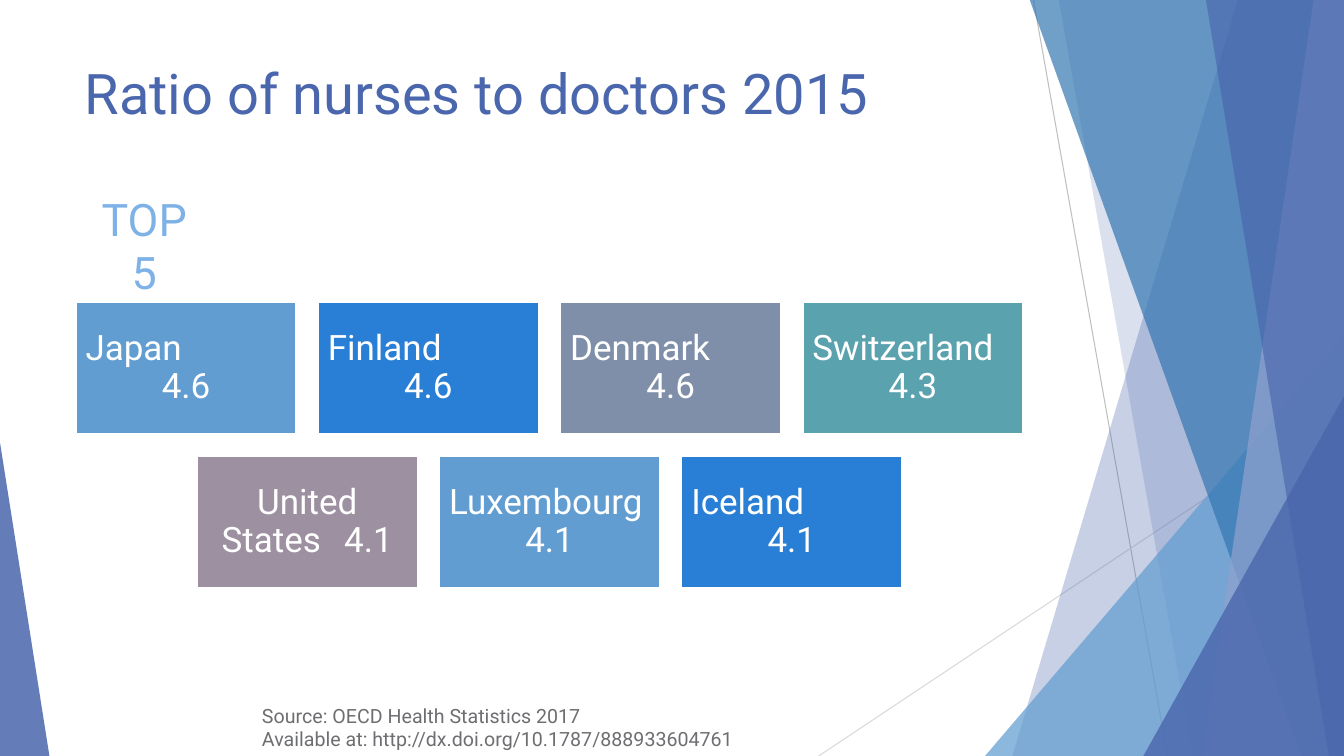
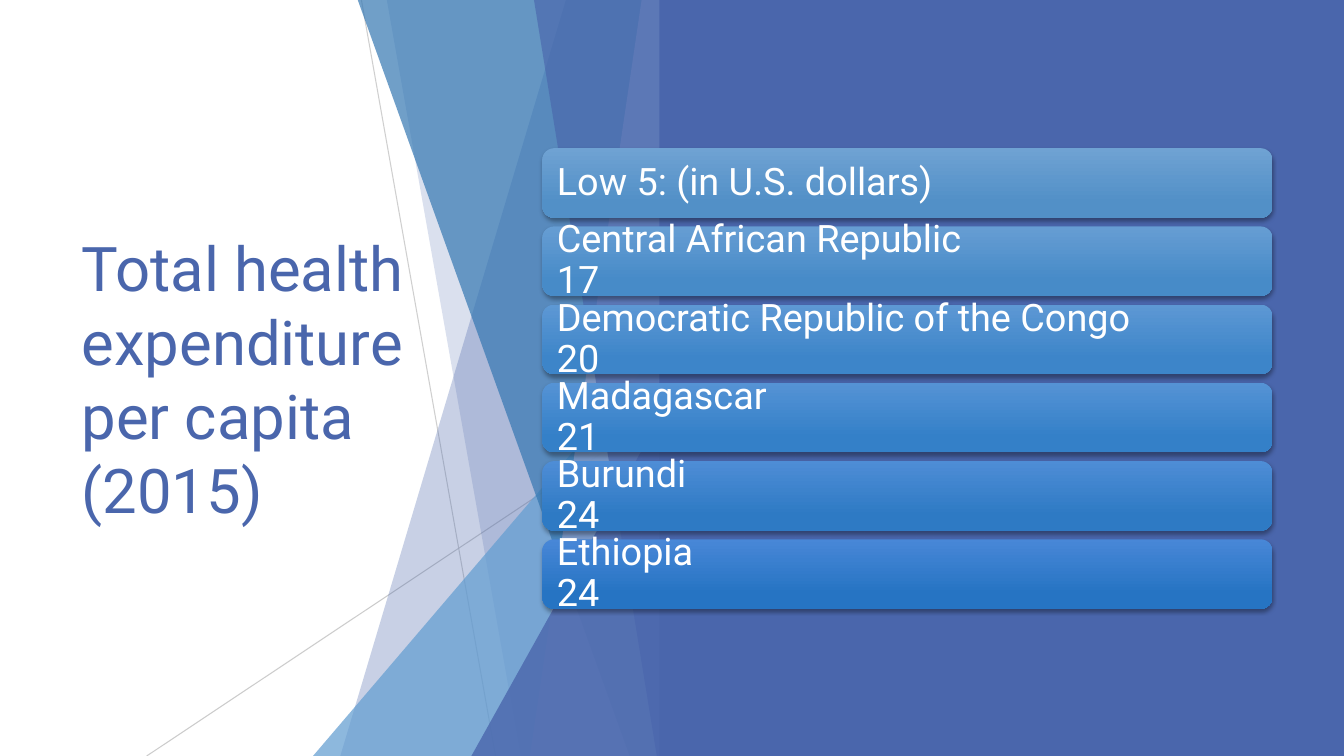
import pptx
import pptx.util
import pptx.dml.color
import pptx.enum.shapes
import pptx.enum.text
import pptx.oxml.ns
import lxml.etree

Inches, Pt = pptx.util.Inches, pptx.util.Pt
Kind = pptx.enum.shapes.MSO_SHAPE
Align = pptx.enum.text.PP_ALIGN
Anchor = pptx.enum.text.MSO_ANCHOR
WIDE, HIGH = 13.33, 7.5
FONT = "Roboto"
HUES = {
    "navy": "4A66AC", "sky": "629DD1", "deep": "3477B2", "mist": "90A2CF",
    "blue": "297FD5", "slate": "7F8FA9", "teal": "5AA2AE", "mauve": "9D90A0",
    "pale": "7EB2E6", "note": "6D6E71", "white": "FFFFFF", "black": "000000",
    "gray": "BFBFBF", "light": "D9D9D9",
}
TILES = ("sky", "blue", "slate", "teal", "mauve")
TOP = (
    ("Japan\t\t\t4.6", "Finland\t\t\t4.6", "Denmark\t\t4.6", "Switzerland\t\t4.3"),
    ("United States\t4.1", "Luxembourg\t4.1", "Iceland\t\t\t4.1"),
)
# Each bar: text, upper and lower gradient colour
LOW = (
    ("Low 5: (in U.S. dollars)", "6FA2D3", "5290C7"),
    ("Central African Republic\t\t17", "669DD3", "478BC8"),
    ("Democratic Republic of the Congo\t20", "5D98D4", "3D85C9"),
    ("Madagascar\t\t\t\t21", "5593D5", "3480C8"),
    ("Burundi\t\t\t\t\t24", "4E8DD6", "2E7AC4"),
    ("Ethiopia\t\t\t\t24", "4887D7", "2674C3"),
)


def rgb(code):
    return pptx.dml.color.RGBColor.from_string(HUES.get(code, code))


def add_tag(node, name, **attrs):
    tag = pptx.oxml.ns.qn("a:" + name)
    return lxml.etree.SubElement(node, tag, {k: str(v) for k, v in attrs.items()})


def fade(fill, alpha):
    """Set opacity, in percent, on a solid fill."""
    if alpha < 100:
        node = fill._xPr.find(".//" + pptx.oxml.ns.qn("a:srgbClr"))
        add_tag(node, "alpha", val=alpha * 1000)


def paint(shape, hue, alpha=100):
    shape.shadow.inherit = False
    shape.line.fill.background()
    shape.fill.solid()
    shape.fill.fore_color.rgb = rgb(hue)
    fade(shape.fill, alpha)


def write(frame, text, size=25, hue="white", align=Align.LEFT,
          anchor=Anchor.TOP, inset=(0.1, 0.05), space=1):
    frame.word_wrap = True
    frame.auto_size = pptx.enum.text.MSO_AUTO_SIZE.NONE
    frame.vertical_anchor = anchor
    frame.margin_left = frame.margin_right = Inches(inset[0])
    frame.margin_top = frame.margin_bottom = Inches(inset[1])
    for i, line in enumerate(text.split("\n")):
        para = frame.add_paragraph() if i else frame.paragraphs[0]
        para.alignment, para.line_spacing = align, space
        if "\t" in line:
            # Tab stops grow with the type size
            para._p.get_or_add_pPr().set("defTabSz", str(Pt(size * 3.5)))
        run = para.add_run()
        run.text = line
        run.font.name, run.font.size = FONT, Pt(size)
        run.font.color.rgb = rgb(hue)


def box(slide, kind, x, y, w, h):
    return slide.shapes.add_shape(kind, Inches(x), Inches(y), Inches(w), Inches(h))


def label(slide, x, y, w, h, text, **form):
    area = slide.shapes.add_textbox(Inches(x), Inches(y), Inches(w), Inches(h))
    write(area.text_frame, text, **form)


def title(slide, x, y, w, h, text, **form):
    head = slide.shapes.title
    head.left, head.top = Inches(x), Inches(y)
    head.width, head.height = Inches(w), Inches(h)
    write(head.text_frame, text, hue="navy", **form)


def line(slide, ends, hue, alpha):
    link = slide.shapes.add_connector(
        pptx.enum.shapes.MSO_CONNECTOR.STRAIGHT, *[Inches(v) for v in ends])
    link.line.width = Pt(0.75)
    link.line.color.rgb = rgb(hue)
    fade(link.line.fill, alpha)
    add_tag(link._element.spPr, "effectLst")


def wedge(slide, x, y, w, hue, alpha, peak):
    """Triangle standing on the slide's lower edge."""
    shape = box(slide, Kind.ISOSCELES_TRIANGLE, x, y, w, HIGH - y)
    shape.adjustments[0] = peak
    paint(shape, hue, alpha)


def band(slide, right, top, foot, hue, alpha):
    """Full-height band; top and foot are distances from its right edge."""
    rise = -0.01
    pen = slide.shapes.build_freeform(Inches(right - top), Inches(rise))
    pen.add_line_segments([(Inches(x), Inches(y)) for x, y in (
        (right, rise), (right, HIGH), (right - foot, HIGH))])
    paint(pen.convert_to_shape(), hue, alpha)


def fan(slide, right, rays):
    """Overlapping facets that end at the given right edge."""
    ends = ((right - 3.08, 0, right - 1.75, HIGH),
            (right, 4.03, right - 5.21, HIGH))
    for span, (hue, alpha) in zip(ends, rays):
        line(slide, span, hue, alpha)
    band(slide, right, 1.05, 3.29, "navy", 30)
    band(slide, right, 2.83, 1.5, "navy", 20)
    wedge(slide, right - 3.56, 3.33, 3.56, "sky", 72, 1)
    band(slide, right, 3.12, 0.42, "deep", 70)
    band(slide, right, 0.3, 1.41, "mist", 70)
    band(slide, right, 1.37, 0.15, "navy", 65)
    wedge(slide, right - 1.99, 3.93, 1.99, "navy", 80, 1)


def tiles(slide, x, y, width, w, h):
    """Rows of tiles, each row centred on the widest, which fills the width."""
    most = max(len(row) for row in TOP)
    gap = (width - most * w) / (most - 1)
    count = 0
    for r, row in enumerate(TOP):
        left = x + (most - len(row)) * (w + gap) / 2
        for c, text in enumerate(row):
            tile = box(slide, Kind.RECTANGLE, left + c * (w + gap),
                       y + r * (h + gap), w, h)
            paint(tile, TILES[count % len(TILES)])
            tile.line.color.rgb = rgb("white")
            tile.line.width = Pt(1.5)
            write(tile.text_frame, text, align=Align.CENTER,
                  anchor=Anchor.MIDDLE, inset=(0.1, 0.1), space=0.9)
            count += 1


def bars(slide, x, y, w, h, gap):
    """Stack of rounded gradient bars with a soft shadow."""
    for i, (text, upper, lower) in enumerate(LOW):
        bar = box(slide, Kind.ROUNDED_RECTANGLE, x, y + i * (h + gap), w, h)
        bar.line.fill.background()
        bar.fill.gradient()
        bar.fill.gradient_angle = 270
        for stop, spot, hue in zip(bar.fill.gradient_stops, (0, 0.78), (upper, lower)):
            stop.position, stop.color.rgb = spot, rgb(hue)
        bar.shadow.inherit = False
        glow = bar._element.spPr.find(pptx.oxml.ns.qn("a:effectLst"))
        cast = add_tag(glow, "outerShdw", blurRad=Pt(3), dist=Pt(2),
                       dir=5400000, rotWithShape=0)
        add_tag(add_tag(cast, "srgbClr", val=HUES["black"]), "alpha", val=35000)
        write(bar.text_frame, text, size=27, anchor=Anchor.MIDDLE,
              inset=(0.11, 0.11), space=0.9)


def ratio(slide):
    fan(slide, WIDE, (("gray", 100), ("light", 100)))
    wedge(slide, 0, 4.39, 0.49, "navy", 85, 0)
    title(slide, 0.74, 0.53, 9.4, 0.8, "Ratio of nurses to doctors 2015", size=40)
    tiles(slide, 0.75, 3, 9.4, 2.19, 1.31)
    label(slide, 2.5, 6.93, 5.08, 0.57,
          "Source: OECD Health Statistics 2017\n"
          "Available at: http://dx.doi.org/10.1787/888933604761",
          size=14, hue="note")
    label(slide, 0.74, 1.85, 1.38, 0.64, "TOP 5", size=32, hue="pale",
          align=Align.CENTER)


def spend(slide):
    title(slide, 0.71, 1.51, 3.88, 4.48,
          "Total health expenditure per capita (2015)", size=44,
          anchor=Anchor.MIDDLE)
    fan(slide, WIDE / 2, (("gray", 75), ("gray", 80)))
    paint(box(slide, Kind.RECTANGLE, 6.54, 0, WIDE - 6.54, HIGH), "navy")
    bars(slide, 5.38, 1.47, 7.24, 0.69, 0.086)


def main():
    deck = pptx.Presentation()
    deck.slide_width, deck.slide_height = Inches(WIDE), Inches(HIGH)
    for build in (ratio, spend):
        build(deck.slides.add_slide(deck.slide_layouts[5]))
    deck.save("out.pptx")


if __name__ == "__main__":
    main()
